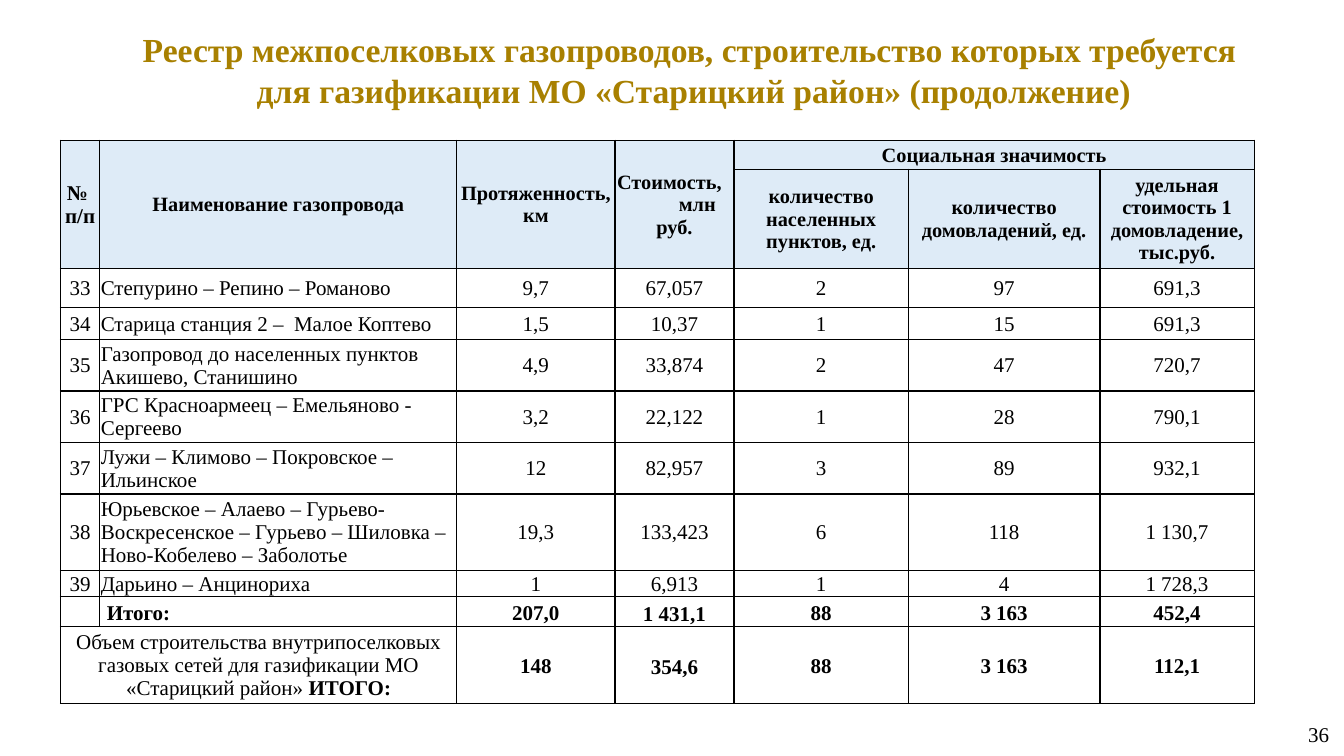
"""Build the slide with the register of inter-settlement gas pipelines."""
import lxml.etree
import pptx
import pptx.dml.color
import pptx.enum.text
import pptx.oxml.ns
import pptx.util

TITLE = ("Реестр межпоселковых газопроводов, строительство которых требуется \n"
         "для газификации МО «Старицкий район» (продолжение)")
PAGE_NUMBER = "36"
HEADINGS = [
    ["№ \vп/п", "Наименование газопровода", "Протяженность, км",
     "Стоимость,            млн руб.", "Социальная значимость", "", ""],
    ["", "", "", "", "количество населенных пунктов, ед.",
     "количество\nдомовладений, ед.",
     "удельная стоимость 1 домовладение, тыс.руб."],
]
PIPELINES = [
    ["33", "Степурино – Репино – Романово", "9,7", "67,057", "2", "97", "691,3"],
    ["34", "Старица станция 2 –  Малое Коптево", "1,5", "10,37", "1", "15", "691,3"],
    ["35", "Газопровод до населенных пунктов Акишево, Станишино",
     "4,9", "33,874", "2", "47", "720,7"],
    ["36", "ГРС Красноармеец – Емельяново - Сергеево", "3,2", "22,122", "1", "28", "790,1"],
    ["37", "Лужи – Климово – Покровское – Ильинское", "12", "82,957", "3", "89", "932,1"],
    ["38", "Юрьевское – Алаево – Гурьево-Воскресенское – Гурьево – Шиловка –  "
     "Ново-Кобелево – Заболотье", "19,3", "133,423", "6", "118", "1 130,7"],
    ["39", "Дарьино – Анцинориха", "1", "6,913", "1", "4", "1 728,3"],
]
VOLUME = ("Объем строительства внутрипоселковых газовых сетей для газификации "
          "МО «Старицкий район» ")
TOTALS = [
    ["", "Итого:", "207,0", "1 431,1", "88", "3 163", "452,4"],
    [VOLUME, "", "148", "354,6", "88", "3 163", "112,1"],
]
MERGES = [((0, column), (1, column)) for column in range(4)]
MERGES += [((0, 4), (0, 6)), ((10, 0), (10, 1))]
COLUMNS = [0.39, 3.54, 1.57, 1.18, 1.73, 1.9, 1.53]
ROWS = [0.29, 0.98, 0.39, 0.32, 0.51, 0.51, 0.51, 0.76, 0.26, 0.29, 0.76]
FIRST_TOTAL = len(HEADINGS) + len(PIPELINES)

FONT = "Times New Roman"
GOLD = pptx.dml.color.RGBColor(0xA8, 0x80, 0x00)
BLACK = pptx.dml.color.RGBColor(0, 0, 0)
PALE_BLUE = pptx.dml.color.RGBColor(0xDE, 0xEB, 0xF7)
ALIGN = pptx.enum.text.PP_ALIGN
MIDDLE = pptx.enum.text.MSO_ANCHOR.MIDDLE
inches = pptx.util.Inches


def write(frame, text, size=15, bold=False, color=BLACK, align=ALIGN.CENTER,
          spacing=None, bold_tail=""):
    frame.word_wrap = True
    for index, line in enumerate(text.split("\n")):
        para = frame.add_paragraph() if index else frame.paragraphs[0]
        para.alignment = align
        para.line_spacing = spacing
        for part, piece in enumerate(line.split("\v")):
            if part:
                para.add_line_break()
            for words, heavy in ((piece, bold), (bold_tail, True)):
                if words:
                    span = para.add_run()
                    span.text = words
                    span.font.name = FONT
                    span.font.size = pptx.util.Pt(size)
                    span.font.bold = heavy
                    span.font.color.rgb = color
        if not line:
            para._p.get_or_add_endParaRPr().set("sz", str(size * 100))


def add_text(page, left, top, width, height, text, **style):
    box = page.shapes.add_textbox(*map(inches, (left, top, width, height)))
    write(box.text_frame, text, **style)
    return box


def outline(cell):
    properties = cell._tc.get_or_add_tcPr()
    qn = pptx.oxml.ns.qn
    for side in ("a:lnL", "a:lnR", "a:lnT", "a:lnB"):
        line = lxml.etree.SubElement(properties, qn(side), w=str(pptx.util.Pt(1)))
        fill = lxml.etree.SubElement(line, qn("a:solidFill"))
        lxml.etree.SubElement(fill, qn("a:srgbClr"), val=str(BLACK))


def fill_cell(cell, text, row, column):
    heading = row < len(HEADINGS)
    total = row >= FIRST_TOTAL
    volume = text == VOLUME
    roomy = total and bool(text) and column != 3 and not volume
    outline(cell)
    if heading:
        cell.fill.solid()
        cell.fill.fore_color.rgb = PALE_BLUE
    else:
        cell.fill.background()
    cell.vertical_anchor = MIDDLE
    cell.margin_left = cell.margin_right = inches(0.07 if roomy else 0.01)
    cell.margin_top = inches(0 if roomy else 0.01)
    cell.margin_bottom = 0
    write(cell.text_frame, text,
          size=14.5 if heading and column and text else 15,
          bold=heading or total and not volume,
          align=ALIGN.LEFT if column == 1 and not heading else ALIGN.CENTER,
          spacing=1.15 if total and text and not volume else None,
          bold_tail="ИТОГО:" if volume else "")


def add_register(page):
    table = page.shapes.add_table(
        len(ROWS), len(COLUMNS), inches(0.6), inches(1.39),
        inches(sum(COLUMNS)), inches(sum(ROWS))).table
    table.first_row = table.horz_banding = False
    for column, width in enumerate(COLUMNS):
        table.columns[column].width = inches(width)
    for row, values in enumerate(HEADINGS + PIPELINES + TOTALS):
        table.rows[row].height = inches(ROWS[row])
        for column, text in enumerate(values):
            fill_cell(table.cell(row, column), text, row, column)
    for start, end in MERGES:
        table.cell(*start).merge(table.cell(*end))


def main():
    deck = pptx.Presentation()
    deck.slide_width, deck.slide_height = inches(13.33), inches(7.5)
    page = deck.slides.add_slide(deck.slide_layouts[6])
    number = add_text(page, 10.57, 6.98, 2.71, 0.61, PAGE_NUMBER, align=ALIGN.RIGHT)
    number.text_frame.vertical_anchor = MIDDLE
    add_text(page, 1, 0.24, 11.76, 0.91, TITLE, size=24, bold=True, color=GOLD)
    add_register(page)
    deck.save("out.pptx")


if __name__ == "__main__":
    main()
